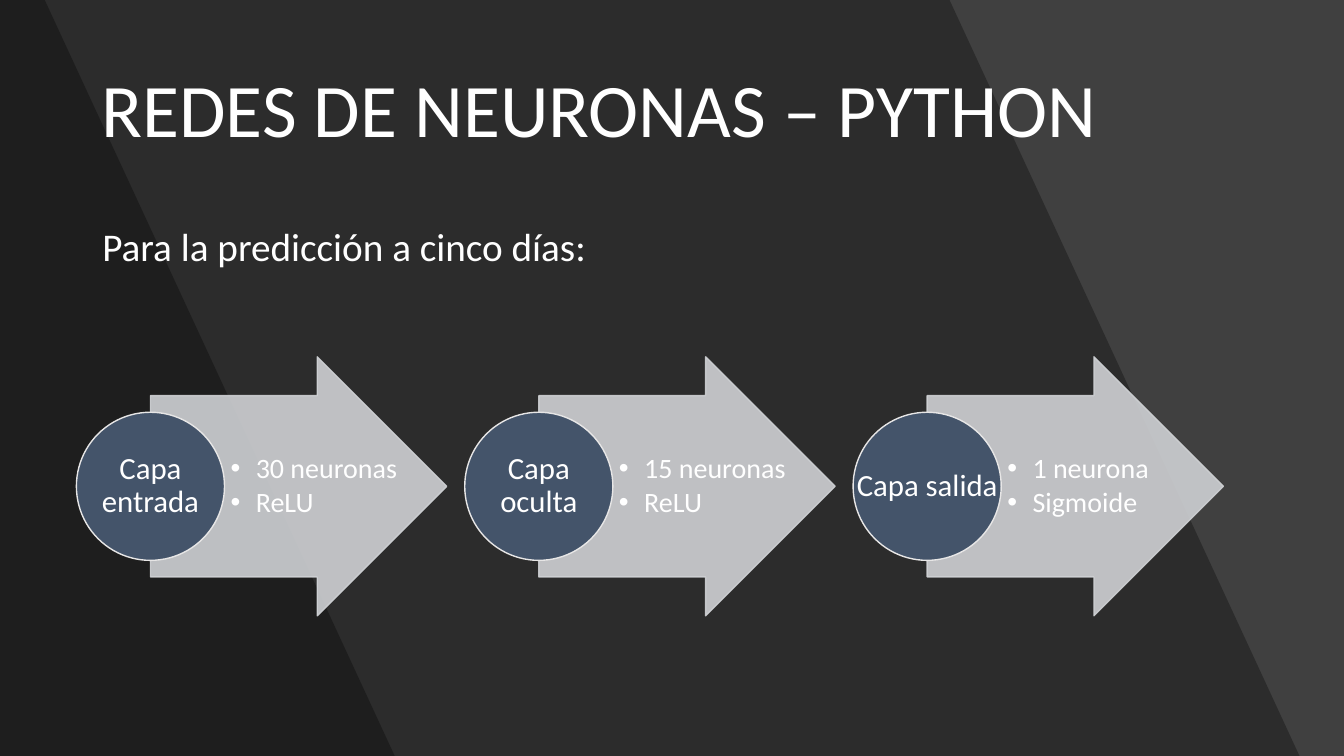
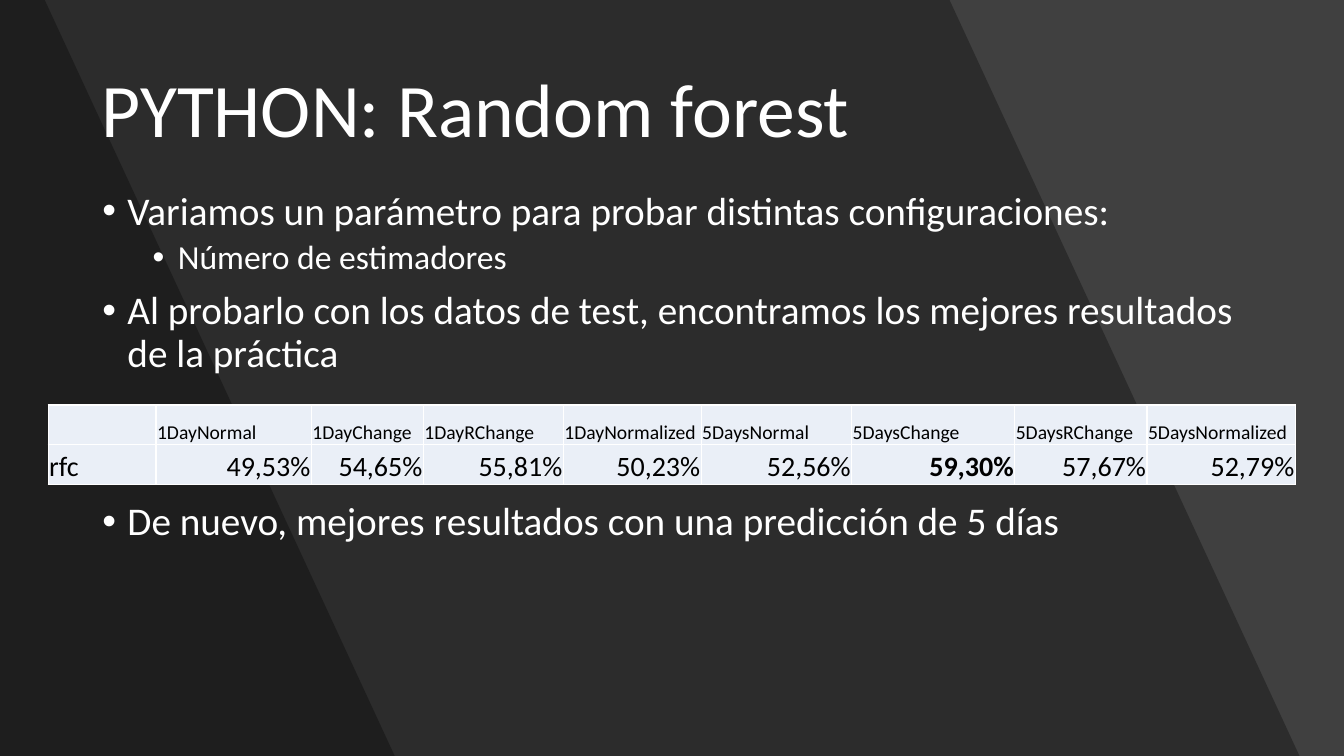
import pptx
import pptx.dml.color
import pptx.enum.shapes
import pptx.enum.text
import pptx.oxml.ns
import pptx.util
from lxml import etree

Pt = pptx.util.Pt
qn = pptx.oxml.ns.qn
ALIGN = pptx.enum.text.PP_ALIGN
ANCHOR = pptx.enum.text.MSO_ANCHOR
SHAPE = pptx.enum.shapes.MSO_SHAPE

WIDTH, HEIGHT = 960, 540
FONT = "Calibri"
COLORS = {
    "back": "404040", "band": "000000", "light": "FFFFFF", "dark": "000000",
    "arrow": "CFD1D4", "circle": "44546A", "rim": "E7E6E6", "cell": "EAEFF7",
}


def rgb(name):
    return pptx.dml.color.RGBColor.from_string(COLORS[name])


def set_alpha(fill_parent, percent):
    """Set the opacity of the solid fill directly under an element."""
    color = fill_parent.find(qn("a:solidFill"))[0]
    etree.SubElement(color, qn("a:alpha"), val=str(percent * 1000))


def write(tf, text, size=28, color="light", bold=False, align=ALIGN.LEFT,
          spacing=0.9, before=0, after=0, indent=None):
    """Add a paragraph; an indent (in points) makes it a bullet."""
    p = tf.paragraphs[0] if not tf.text else tf.add_paragraph()
    p.alignment, p.line_spacing = align, spacing
    p.space_before, p.space_after = Pt(before), Pt(after)
    if indent is not None:
        pPr = p._p.get_or_add_pPr()
        pPr.set("marL", str(Pt(indent)))
        pPr.set("indent", str(Pt(-18)))
        etree.SubElement(pPr, qn("a:buFont"), typeface="Arial")
        etree.SubElement(pPr, qn("a:buChar"), char="•")
    r = p.add_run()
    r.text = text
    r.font.name, r.font.size, r.font.bold = FONT, Pt(size), bold
    r.font.color.rgb = rgb(color)


class Deck:
    """Shared style and the slide being drawn."""

    def __init__(self):
        self.prs = pptx.Presentation()
        self.prs.slide_width, self.prs.slide_height = Pt(WIDTH), Pt(HEIGHT)
        self.s = None

    def slide(self, title):
        self.s = self.prs.slides.add_slide(self.prs.slide_layouts[6])
        fill = self.s.background.fill
        fill.solid()
        fill.fore_color.rgb = rgb("back")
        # Slanted bands, the narrow one over the wide one
        for top, bottom in ((678.25, 928.25), (32, 282)):
            self.band(top, bottom)
        write(self.text(65.5, 28.8, 828.7, 104.4, ANCHOR.MIDDLE), title, size=54)

    def style(self, sp, fill, line=None, alpha=100):
        sp.shadow.inherit = False
        sp.fill.solid()
        sp.fill.fore_color.rgb = rgb(fill)
        set_alpha(sp._element.spPr, alpha)
        if line is None:
            sp.line.fill.background()
        else:
            sp.line.color.rgb = rgb(line)
            sp.line.width = Pt(1)
            set_alpha(sp._element.spPr.find(qn("a:ln")), alpha)

    def band(self, top, bottom):
        fb = self.s.shapes.build_freeform(0, 0)
        fb.add_line_segments([(Pt(top), 0), (Pt(bottom), Pt(HEIGHT)),
                              (0, Pt(HEIGHT))], close=True)
        self.style(fb.convert_to_shape(), "band", alpha=30)

    def shape(self, kind, x, y, w, h, fill, line, alpha=100, adjust=()):
        sp = self.s.shapes.add_shape(kind, Pt(x), Pt(y), Pt(w), Pt(h))
        for i, value in enumerate(adjust):
            sp.adjustments[i] = value
        self.style(sp, fill, line, alpha)

    def text(self, x, y, w, h, anchor=ANCHOR.TOP, insets=(7.2, 3.6, 7.2, 3.6)):
        tf = self.s.shapes.add_textbox(Pt(x), Pt(y), Pt(w), Pt(h)).text_frame
        tf.word_wrap, tf.vertical_anchor = True, anchor
        (tf.margin_left, tf.margin_top,
         tf.margin_right, tf.margin_bottom) = map(Pt, insets)
        return tf

    def layer(self, x, y, name, details):
        """Circle with the layer's name on the tail of an arrow of details."""
        d, arrow_w, arrow_h = 105.8, 211.6, 185
        arrow_y = y - arrow_h / 2
        self.shape(SHAPE.RIGHT_ARROW, x + d / 2, arrow_y, arrow_w, arrow_h,
                   "arrow", "arrow", alpha=90, adjust=(0.7, 0.5))
        tf = self.text(x + d, arrow_y, arrow_w - d / 2, arrow_h,
                       ANCHOR.MIDDLE, (4.3, 0.7, 2.2, 0.7))
        for detail in details:
            write(tf, detail, size=20, after=2.5, indent=18)
        self.shape(SHAPE.OVAL, x, y - d / 2, d, d, "circle", "rim")
        tf = self.text(x, y - d / 2, d, d, ANCHOR.MIDDLE, (1.4,) * 4)
        write(tf, name, size=22, align=ALIGN.CENTER)

    def table(self, x, y, widths, row_h, rows, best):
        """Header row over value rows; the best value is bold."""
        tbl = self.s.shapes.add_table(len(rows), len(widths), Pt(x), Pt(y),
                                      Pt(sum(widths)), Pt(row_h * len(rows))).table
        tbl.first_row = tbl.horz_banding = False
        for col, w in zip(tbl.columns, widths):
            col.width = Pt(w)
        for i, row in enumerate(rows):
            tbl.rows[i].height = Pt(row_h)
            for j, value in enumerate(row):
                cell = tbl.cell(i, j)
                self.cell_style(cell)
                if value:
                    write(cell.text_frame, value, size=20 if i else 14,
                          color="dark", bold=value == best, spacing=1.0,
                          align=ALIGN.RIGHT if i and j else ALIGN.LEFT)

    def cell_style(self, cell):
        cell.margin_left = cell.margin_top = cell.margin_right = Pt(0.7)
        cell.margin_bottom = 0
        cell.vertical_anchor = ANCHOR.BOTTOM
        tcPr = cell._tc.get_or_add_tcPr()
        for side in "LRTB":
            ln = etree.SubElement(tcPr, qn("a:ln" + side), w=str(Pt(1)))
            fill = etree.SubElement(ln, qn("a:solidFill"))
            etree.SubElement(fill, qn("a:srgbClr"), val=COLORS["light"])
        cell.fill.solid()
        cell.fill.fore_color.rgb = rgb("cell")


def main():
    deck = Deck()

    # Slide 1: network layers
    deck.slide("REDES DE NEURONAS – PYTHON")
    write(deck.text(66, 159, 828, 52), "Para la predicción a cinco días:", before=10)
    layers = [
        ("Capa entrada", ("30 neuronas", "ReLU")),
        ("Capa oculta", ("15 neuronas", "ReLU")),
        ("Capa salida", ("1 neurona", "Sigmoide")),
    ]
    for i, (name, details) in enumerate(layers):
        deck.layer(54.6 + 277.4 * i, 347.4, name, details)

    # Slide 2: random forest results
    deck.slide("PYTHON: Random forest")
    tf = deck.text(66, 133.2, 828, 353.5)
    write(tf, "Variamos un parámetro para probar distintas configuraciones:",
          before=10, indent=18)
    write(tf, "Número de estimadores", size=24, before=5, indent=54)
    write(tf, "Al probarlo con los datos de test, encontramos los mejores "
          "resultados de la práctica", before=10, indent=18)
    # The space before the last point leaves room for the table
    write(tf, "De nuevo, mejores resultados con una predicción de 5 días",
          before=90, indent=18)
    deck.table(
        34.5, 289.3, [77, 111, 80, 100, 98.5, 107.5, 116.5, 94.5, 106], 28.4,
        [["", "1DayNormal", "1DayChange", "1DayRChange", "1DayNormalized",
          "5DaysNormal", "5DaysChange", "5DaysRChange", "5DaysNormalized"],
         ["rfc", "49,53%", "54,65%", "55,81%", "50,23%",
          "52,56%", "59,30%", "57,67%", "52,79%"]],
        best="59,30%")

    deck.prs.save("out.pptx")


if __name__ == "__main__":
    main()
